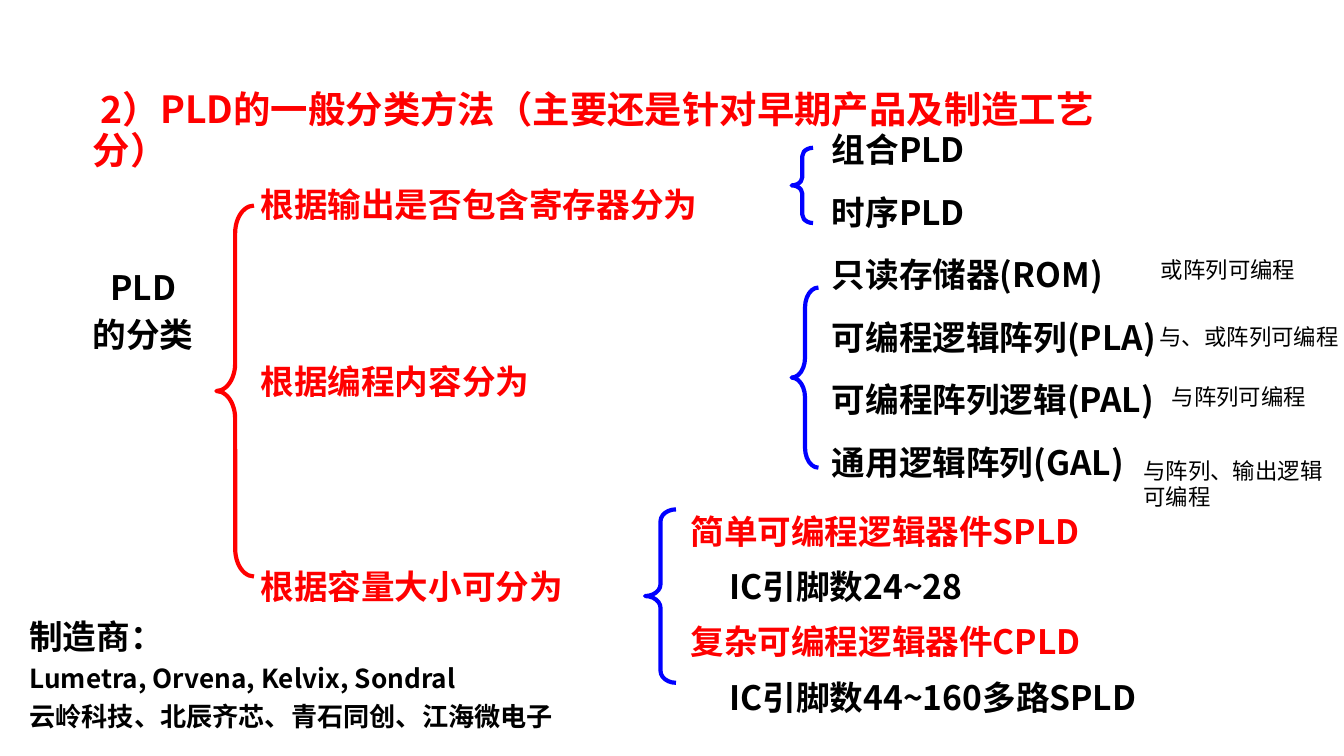
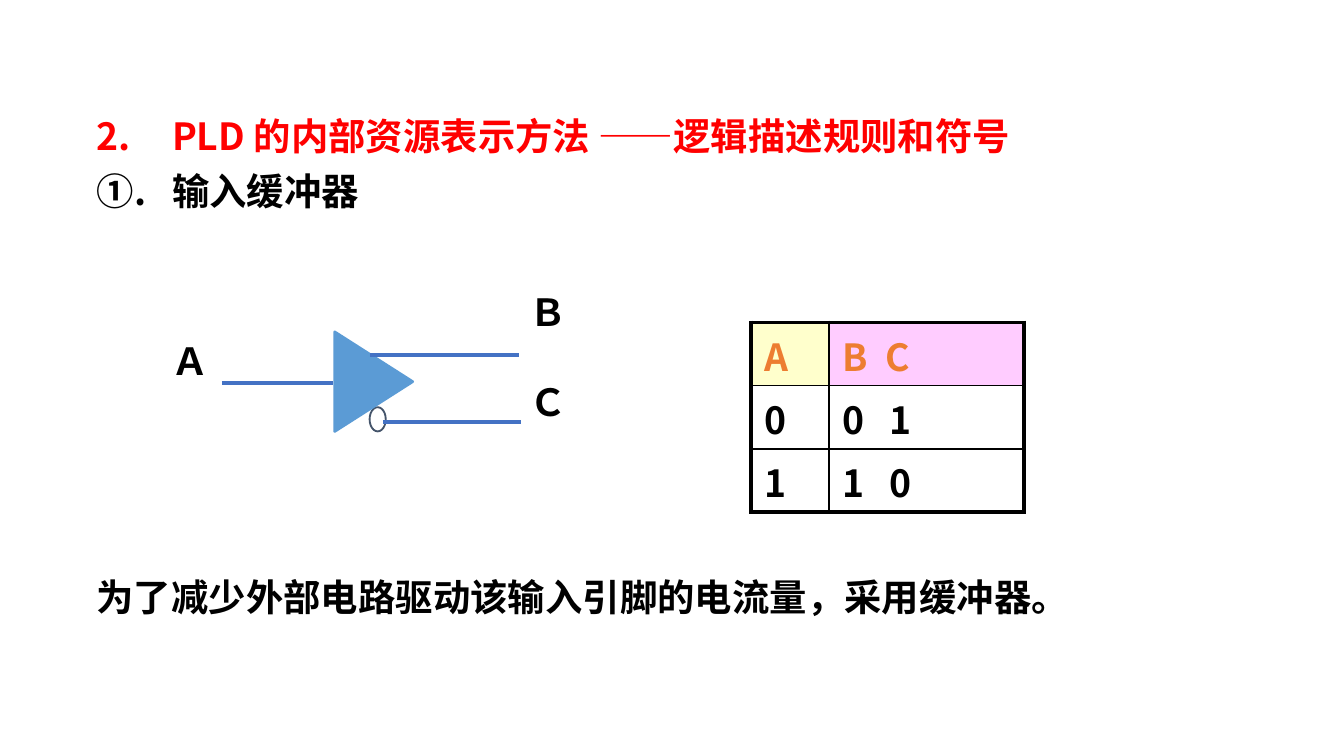
from dataclasses import dataclass
from typing import Optional

from lxml.etree import SubElement
from pptx import Presentation
from pptx.dml.color import RGBColor
from pptx.enum.shapes import MSO_CONNECTOR, MSO_SHAPE
from pptx.enum.text import MSO_ANCHOR, MSO_AUTO_SIZE, PP_ALIGN
from pptx.oxml.ns import qn
from pptx.util import Inches, Pt

RED = RGBColor(0xFF, 0x00, 0x00)
BLUE = RGBColor(0x00, 0x00, 0xFF)
BLACK = RGBColor(0x00, 0x00, 0x00)
WHITE = RGBColor(0xFF, 0xFF, 0xFF)
ORANGE = RGBColor(0xED, 0x7D, 0x31)
WIRE = RGBColor(0x44, 0x72, 0xC4)
GATE = RGBColor(0x5B, 0x9B, 0xD5)
SLATE = RGBColor(0x44, 0x54, 0x6A)
CREAM = RGBColor(0xFF, 0xFF, 0xCC)
PINK = RGBColor(0xFF, 0xCC, 0xFF)

HEAVY_FONT = "Noto Sans CJK JP"
TILDE_FONT = "Noto Sans CJK SC"
NOTE_FONT = "Calibri"
TITLE_AND_BODY, TITLE_ONLY = 1, 5


@dataclass(frozen=True)
class Frame:
    left: float
    top: float
    width: float
    height: float

    def lengths(self) -> tuple:
        return tuple(Inches(v) for v in (self.left, self.top, self.width, self.height))


@dataclass(frozen=True)
class Para:
    text: str
    color: RGBColor = BLACK
    size: float = 18
    font: str = HEAVY_FONT
    bold: bool = True
    line: float = 21.6
    before: float = 0
    align: PP_ALIGN = PP_ALIGN.LEFT
    left: float = 0
    first: float = 0
    number: Optional[str] = None
    start: int = 1


@dataclass(frozen=True)
class Brace:
    frame: Frame
    curl: float
    color: RGBColor = BLUE


@dataclass(frozen=True)
class Wire:
    left: float
    right: float
    level: float


def set_all(target, values: dict) -> None:
    for name, value in values.items():
        setattr(target, name, value)


def add_span(para, text: str, style: Para, font_name: str) -> None:
    span = para.add_run()
    span.text = text
    set_all(span.font, {"name": font_name, "size": Pt(style.size), "bold": style.bold})
    span.font.color.rgb = style.color
    SubElement(span.font._element, qn("a:ea"), typeface=font_name)


def write_para(para, style: Para) -> None:
    set_all(para, {"alignment": style.align, "line_spacing": Pt(style.line),
                   "space_before": Pt(style.before)})
    props = para._p.get_or_add_pPr()
    props.set("marL", str(Inches(style.left)))
    props.set("indent", str(Inches(style.first)))
    if style.number:
        SubElement(props, qn("a:buFont"), typeface="+mj-lt")
        number = SubElement(props, qn("a:buAutoNum"), type=style.number)
        if style.start > 1:
            number.set("startAt", str(style.start))
    else:
        SubElement(props, qn("a:buNone"))
    for index, piece in enumerate(style.text.split("~")):
        if index:
            add_span(para, "~", style, TILDE_FONT)
        add_span(para, piece, style, style.font)


def fill_box(box, frame: Frame, paras: list[Para]) -> None:
    set_all(box, dict(zip(("left", "top", "width", "height"), frame.lengths())))
    text_frame = box.text_frame
    set_all(text_frame, {
        "word_wrap": True, "auto_size": MSO_AUTO_SIZE.NONE,
        "vertical_anchor": MSO_ANCHOR.TOP,
        "margin_left": Inches(0.1), "margin_right": Inches(0.1),
        "margin_top": Inches(0.05), "margin_bottom": Inches(0.05)})
    for index, style in enumerate(paras):
        para = text_frame.add_paragraph() if index else text_frame.paragraphs[0]
        write_para(para, style)


def add_text(page, frame: Frame, paras: list[Para]) -> None:
    fill_box(page.shapes.add_textbox(*frame.lengths()), frame, paras)


def add_outline(page, kind: MSO_SHAPE, frame: Frame, color: RGBColor, weight: float,
                fill: Optional[RGBColor] = None):
    shape = page.shapes.add_shape(kind, *frame.lengths())
    shape.shadow.inherit = False
    if fill is None:
        shape.fill.background()
    else:
        shape.fill.solid()
        shape.fill.fore_color.rgb = fill
    shape.line.color.rgb = color
    shape.line.width = Pt(weight)
    return shape


def add_brace(page, brace: Brace) -> None:
    shape = add_outline(page, MSO_SHAPE.LEFT_BRACE, brace.frame, brace.color, 2.25)
    shape.adjustments[0] = brace.curl
    shape.adjustments[1] = 0.5


def add_wire(page, wire: Wire) -> None:
    line = page.shapes.add_connector(
        MSO_CONNECTOR.STRAIGHT, Inches(wire.left), Inches(wire.level),
        Inches(wire.right), Inches(wire.level))
    line.line.color.rgb = WIRE
    line.line.width = Pt(2.25)
    SubElement(line._element.spPr, qn("a:effectLst"))


def border_cell(cell, weights: dict[str, float]) -> None:
    props = cell._tc.get_or_add_tcPr()
    for side, weight in weights.items():
        edge = SubElement(props, qn(f"a:ln{side}"), w=str(Pt(weight)))
        fill = SubElement(edge, qn("a:solidFill"))
        SubElement(fill, qn("a:srgbClr"), val=str(BLACK))


def add_truth_table(page, frame: Frame, rows: list[tuple[str, str]]) -> None:
    table = page.shapes.add_table(len(rows), 2, *frame.lengths()).table
    set_all(table, {"first_row": False, "horz_banding": False})
    for column, width in zip(table.columns, (0.58, 1.45)):
        column.width = Inches(width)
    last = len(rows) - 1
    for r, row in enumerate(rows):
        table.rows[r].height = Inches(frame.height / len(rows))
        gap = 0.35 if r else 0.32
        for c, text in enumerate(row):
            cell = table.cell(r, c)
            outer = {"L": c == 0, "R": c == 1, "T": r == 0, "B": r == last}
            border_cell(cell, {side: 2.25 if edge else 1 for side, edge in outer.items()})
            cell.fill.solid()
            cell.fill.fore_color.rgb = WHITE if r else (CREAM, PINK)[c]
            set_all(cell, {"vertical_anchor": MSO_ANCHOR.MIDDLE,
                           "margin_top": Inches(0.08), "margin_bottom": Inches(0)})
            write_para(cell.text_frame.paragraphs[0],
                       Para(text, BLACK if r else ORANGE, 20, line=24,
                            left=gap * c, first=-gap * c))


def add_page(deck, layout: int, title_frame: Frame, title: list[Para]):
    page = deck.slides.add_slide(deck.slide_layouts[layout])
    page.background.fill.solid()
    page.background.fill.fore_color.rgb = WHITE
    fill_box(page.shapes.title, title_frame, title)
    return page


def build_classification(deck) -> None:
    devices = ["组合PLD", "时序PLD", "只读存储器(ROM)", "可编程逻辑阵列(PLA)",
               "可编程阵列逻辑(PAL)", "通用逻辑阵列(GAL)"]
    page = add_page(
        deck, TITLE_AND_BODY, Frame(0.59, 0.62, 8.08, 0.46),
        [Para("2）PLD的一般分类方法（主要还是针对早期产品及制造工艺分）", RED, 20,
              line=22, first=0.06)])
    fill_box(page.placeholders[1], Frame(6.09, 0.85, 3.66, 2.66),
             [Para(name, line=26, before=7.5 if index else 0)
              for index, name in enumerate(devices)])

    for brace in (Brace(Frame(5.89, 1.1, 0.16, 0.56), 0.387),
                  Brace(Frame(5.89, 2.14, 0.2, 1.34), 0.74),
                  Brace(Frame(1.61, 1.53, 0.28, 2.76), 0.733, RED),
                  Brace(Frame(4.8, 3.79, 0.23, 1.29), 0.387)):
        add_brace(page, brace)

    for top, text in ((1.32, "根据输出是否包含寄存器分为"), (2.64, "根据编程内容分为"),
                      (4.16, "根据容量大小可分为")):
        add_text(page, Frame(1.84, top, 4.5, 0.4), [Para(text, RED)])

    add_text(page, Frame(0.44, 2.01, 1.25, 0.7), [
        Para("PLD", line=16.2, align=PP_ALIGN.CENTER),
        Para("的分类", line=16.2, before=9, align=PP_ALIGN.CENTER)])

    add_text(page, Frame(5.04, 3.69, 4.77, 1.7), [
        Para("简单可编程逻辑器件SPLD", RED, line=26),
        Para("IC引脚数24~28", line=26, before=3.6, left=0.29),
        Para("复杂可编程逻辑器件CPLD", RED, line=26, before=3.6),
        Para("IC引脚数44~160多路SPLD", line=26, before=3.6, left=0.29)])

    add_text(page, Frame(0.12, 4.47, 5.52, 1.01), [
        Para("制造商：", line=26),
        Para("Lumetra, Orvena, Kelvix, Sondral", size=14, line=20.2),
        Para("云岭科技、北辰齐芯、青石同创、江海微电子", size=14, line=20.2)])

    for frame, text in ((Frame(8.54, 1.86, 1.34, 0.3), "或阵列可编程"),
                        (Frame(8.53, 2.36, 1.64, 0.3), "与、或阵列可编程"),
                        (Frame(8.62, 2.81, 1.34, 0.3), "与阵列可编程"),
                        (Frame(8.41, 3.36, 1.61, 0.5), "与阵列、输出逻辑可编程")):
        add_text(page, frame, [Para(text, size=12, font=NOTE_FONT, bold=False, line=14)])


def build_input_buffer(deck) -> None:
    page = add_page(deck, TITLE_ONLY, Frame(0.62, 0.86, 9.42, 0.82), [
        Para("PLD 的内部资源表示方法 ——逻辑描述规则和符号", RED, 20, line=19.2,
             left=0.56, first=-0.56, number="arabicPeriod", start=2),
        Para("输入缓冲器", size=20, line=19.2, before=10,
             left=0.56, first=-0.56, number="circleNumDbPlain")])

    add_outline(page, MSO_SHAPE.OVAL, Frame(2.75, 3.03, 0.12, 0.18), SLATE, 1, WHITE)
    buffer = add_outline(page, MSO_SHAPE.FLOWCHART_EXTRACT,
                         Frame(2.41, 2.55, 0.74, 0.58), GATE, 1.5, GATE)
    buffer.rotation = 90
    for wire in (Wire(1.65, 2.48, 2.85), Wire(2.85, 3.88, 3.14), Wire(2.75, 3.86, 2.64)):
        add_wire(page, wire)
    for left, top, letter in ((1.18, 2.47, "Ａ"), (3.84, 2.1, "Ｂ"), (3.84, 2.77, "Ｃ")):
        add_text(page, Frame(left, top, 0.67, 0.43), [Para(letter, size=20, line=24)])

    add_truth_table(page, Frame(5.59, 2.4, 2.03, 1.41),
                    [("A", "B\tC"), ("0", "0\t1"), ("1", "1\t0")])
    add_text(page, Frame(0.62, 4.29, 9.42, 0.37),
             [Para("为了减少外部电路驱动该输入引脚的电流量，采用缓冲器。", size=20, line=19.2)])


def main() -> None:
    deck = Presentation()
    deck.slide_width = Inches(10)
    deck.slide_height = Inches(10 * 9 / 16)
    build_classification(deck)
    build_input_buffer(deck)
    deck.save("out.pptx")


if __name__ == "__main__":
    main()
